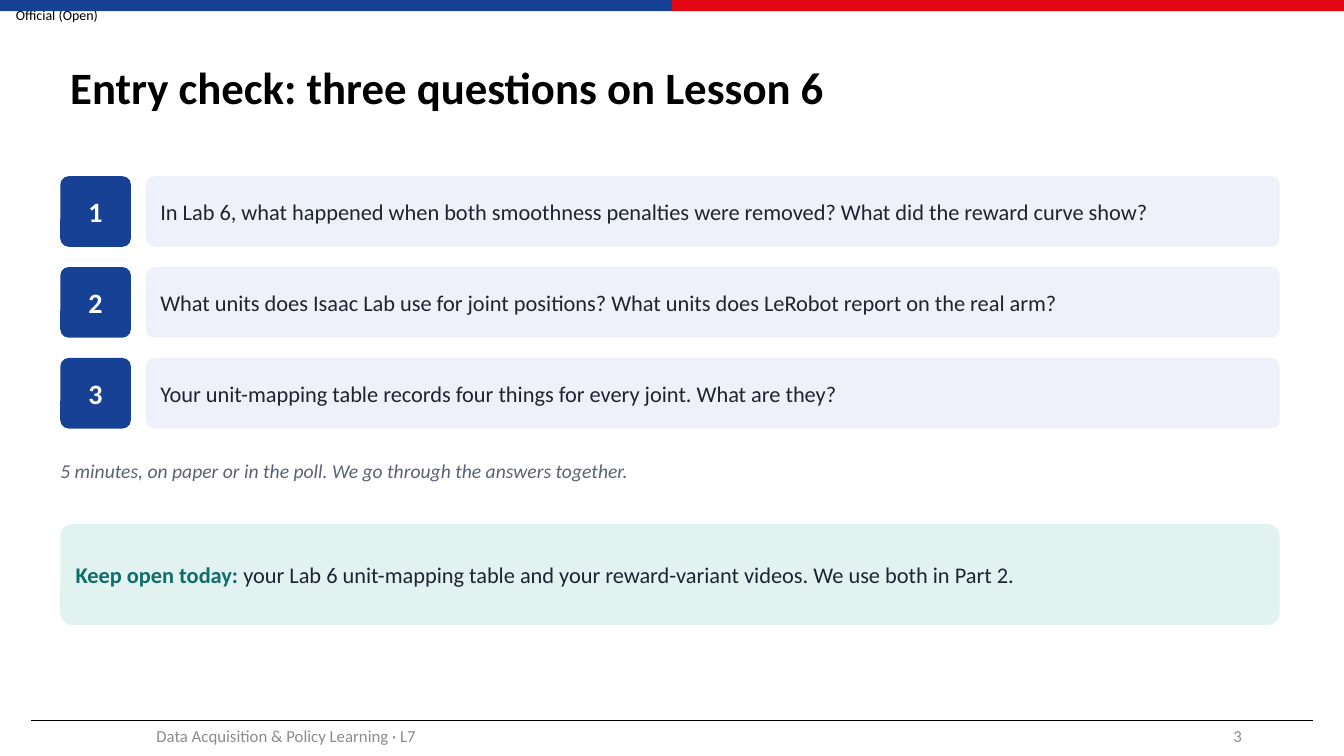
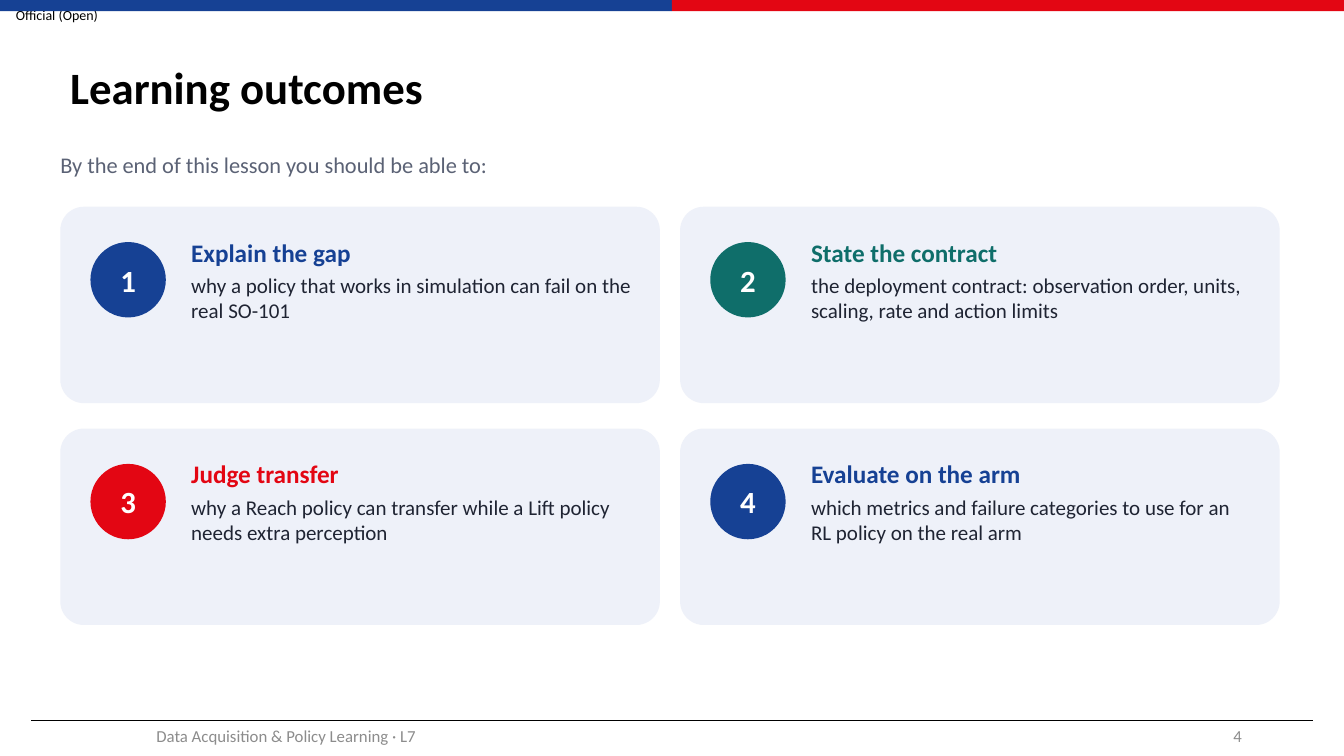
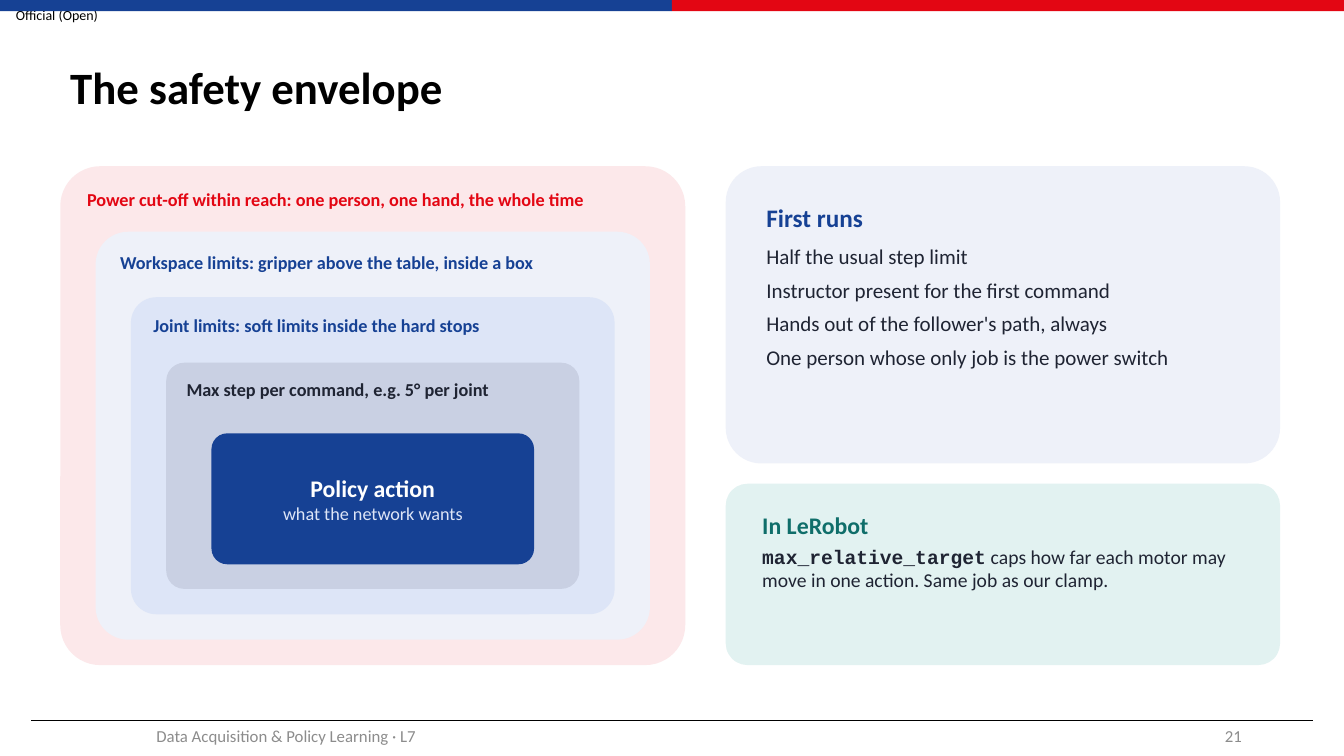
from dataclasses import dataclass
from typing import NamedTuple

from lxml import etree
from pptx import Presentation
from pptx import util as u
from pptx.dml.color import RGBColor
from pptx.enum import shapes, text
from pptx.oxml import ns

COLOURS = {
    "black": "000000",
    "white": "FFFFFF",
    "blue": "164194",
    "red": "E30613",
    "teal": "0F6E6A",
    "ink": "1F2433",
    "slate": "5B6275",
    "footer": "8C8C8C",
    "pale": "EEF1F9",
    "mint": "E2F2F1",
    "rose": "FCE8EA",
    "sky": "DDE5F7",
    "steel": "C9D0E3",
}
FONT = "Calibri"
MONO = "Courier New"
PAGE_WIDTH, PAGE_HEIGHT = 33.87, 19.05
LEFT, CONTENT_WIDTH = 1.52, 30.73
LEFT_ALIGN = text.PP_ALIGN.LEFT
CENTRE = text.PP_ALIGN.CENTER
RIGHT = text.PP_ALIGN.RIGHT
TOP = text.MSO_ANCHOR.TOP
MIDDLE = text.MSO_ANCHOR.MIDDLE
RECTANGLE = shapes.MSO_SHAPE.RECTANGLE
ROUNDED = shapes.MSO_SHAPE.ROUNDED_RECTANGLE
OVAL = shapes.MSO_SHAPE.OVAL


class Frame(NamedTuple):
    left: float
    top: float
    width: float
    height: float

    def lengths(self) -> list:
        return [u.Cm(value) for value in self]


class Margins(NamedTuple):
    side: float = 0
    end: float = 0


class Lead(NamedTuple):
    text: str
    colour: str
    font: str = FONT


@dataclass(frozen=True)
class Line:
    text: str
    size: float
    colour: str = "ink"
    bold: bool = False
    italic: bool = False
    align: text.PP_ALIGN = LEFT_ALIGN
    after: float = 0
    lead: Lead | None = None


class Outcome(NamedTuple):
    heading: str
    detail: str
    colour: str


class Limit(NamedTuple):
    label: str
    fill: str
    colour: str


BAR_MARGINS = Margins(0.3, 0.15)
QUESTIONS = [
    "In Lab 6, what happened when both smoothness penalties were removed? What did the reward curve show?",
    "What units does Isaac Lab use for joint positions? What units does LeRobot report on the real arm?",
    "Your unit-mapping table records four things for every joint. What are they?",
]
OUTCOMES = [
    Outcome("Explain the gap", "why a policy that works in simulation can fail on the real SO-101", "blue"),
    Outcome("State the contract", "the deployment contract: observation order, units, scaling, rate and action limits", "teal"),
    Outcome("Judge transfer", "why a Reach policy can transfer while a Lift policy needs extra perception", "red"),
    Outcome("Evaluate on the arm", "which metrics and failure categories to use for an RL policy on the real arm", "blue"),
]
LIMITS = [
    Limit("Power cut-off within reach: one person, one hand, the whole time", "rose", "red"),
    Limit("Workspace limits: gripper above the table, inside a box", "pale", "blue"),
    Limit("Joint limits: soft limits inside the hard stops", "sky", "blue"),
    Limit("Max step per command, e.g. 5° per joint", "steel", "ink"),
]
FIRST_RUNS = [
    "Half the usual step limit",
    "Instructor present for the first command",
    "Hands out of the follower's path, always",
    "One person whose only job is the power switch",
]


def rgb(name: str) -> RGBColor:
    return RGBColor.from_string(COLOURS[name])


def write(frame, lines: list[Line], anchor=TOP, margins=Margins()) -> None:
    frame.word_wrap = True
    frame.vertical_anchor = anchor
    frame.margin_left = frame.margin_right = u.Cm(margins.side)
    frame.margin_top = frame.margin_bottom = u.Cm(margins.end)
    for index, line in enumerate(lines):
        para = frame.add_paragraph() if index else frame.paragraphs[0]
        para.alignment = line.align
        para.space_after = u.Pt(line.after)
        para.font.name = FONT
        para.font.size = u.Pt(line.size)
        para.font.bold = line.bold
        para.font.italic = line.italic
        para.font.color.rgb = rgb(line.colour)
        if line.lead:
            span = para.add_run()
            span.text = line.lead.text
            span.font.name = line.lead.font
            span.font.bold = True
            span.font.color.rgb = rgb(line.lead.colour)
        para.add_run().text = line.text


def add_text(page, frame: Frame, lines: list[Line], anchor=TOP, margins=Margins()) -> None:
    box = page.shapes.add_textbox(*frame.lengths())
    write(box.text_frame, lines, anchor, margins)


def add_box(page, kind, frame: Frame, fill: str, lines: list[Line] | None = None,
            anchor=MIDDLE, margins=Margins(), rounding: float = 0.12) -> None:
    box = page.shapes.add_shape(kind, *frame.lengths())
    box.shadow.inherit = False
    box.fill.solid()
    box.fill.fore_color.rgb = rgb(fill)
    box.line.fill.background()
    if kind == ROUNDED:
        box.adjustments[0] = rounding
    if lines:
        write(box.text_frame, lines, anchor, margins)


def add_rule(page, left: float, right: float, top: float) -> None:
    rule = page.shapes.add_connector(
        shapes.MSO_CONNECTOR.STRAIGHT, u.Cm(left), u.Cm(top), u.Cm(right), u.Cm(top))
    rule.line.color.rgb = rgb("black")
    rule.line.width = u.Pt(0.5)
    etree.SubElement(rule._element.spPr, ns.qn("a:effectLst"))


def add_page(deck, title: str, number: int):
    page = deck.slides.add_slide(deck.slide_layouts[5])
    add_text(page, Frame(0, 0, 2.87, 0.74),
             [Line("Official (Open)", 10, "black", align=CENTRE)], MIDDLE)
    half = PAGE_WIDTH / 2
    for index, colour in enumerate(("blue", "red")):
        add_box(page, RECTANGLE, Frame(index * half, 0, half, 0.28), colour)
    add_rule(page, 0.79, 33.1, 18.14)
    heading = page.shapes.title
    heading.left, heading.top, heading.width, heading.height = Frame(LEFT, 0.76, 30.68, 3).lengths()
    write(heading.text_frame, [Line(title, 32, "black", bold=True)], MIDDLE, Margins(0.25, 0.13))
    heading.text_frame.paragraphs[0].line_spacing = 0.9
    add_text(page, Frame(1.5, 18.03, 11.43, 1.02),
             [Line("Data Acquisition & Policy Learning · L7", 12, "footer", align=CENTRE)],
             MIDDLE, Margins(0.25, 0.13))
    add_text(page, Frame(23.93, 18.03, 7.62, 1.02),
             [Line(str(number), 12, "footer", align=RIGHT)], MIDDLE, Margins(0.25, 0.13))
    return page


def build_entry_check(deck) -> None:
    page = add_page(deck, "Entry check: three questions on Lesson 6", 3)
    size, pitch = 1.78, 2.29
    for index, question in enumerate(QUESTIONS):
        top = 4.44 + index * pitch
        add_box(page, ROUNDED, Frame(LEFT, top, size, size), "blue",
                [Line(str(index + 1), 20, "white", bold=True, align=CENTRE)],
                margins=Margins(0.05, 0.05))
        add_box(page, ROUNDED, Frame(3.68, top, 28.57, size), "pale",
                [Line(question, 16)], margins=BAR_MARGINS)
    add_text(page, Frame(LEFT, 11.56, CONTENT_WIDTH, 1.02),
             [Line("5 minutes, on paper or in the poll. We go through the answers together.",
                   14, "slate", italic=True)])
    add_box(page, ROUNDED, Frame(LEFT, 13.21, CONTENT_WIDTH, 2.54), "mint",
            [Line("your Lab 6 unit-mapping table and your reward-variant videos. We use both in Part 2.",
                  16, lead=Lead("Keep open today: ", "teal"))], margins=BAR_MARGINS)


def build_outcomes(deck) -> None:
    page = add_page(deck, "Learning outcomes", 4)
    add_text(page, Frame(LEFT, 3.81, CONTENT_WIDTH, 1.02),
             [Line("By the end of this lesson you should be able to:", 16, "slate")])
    for index, outcome in enumerate(OUTCOMES):
        row, column = divmod(index, 2)
        left, top = LEFT + column * 15.62, 5.21 + row * 5.59
        add_box(page, ROUNDED, Frame(left, top, 15.11, 4.95), "pale")
        add_box(page, OVAL, Frame(left + 0.76, top + 0.89, 1.9, 1.9), outcome.colour,
                [Line(str(index + 1), 22, "white", bold=True, align=CENTRE)])
        add_text(page, Frame(left + 3.3, top + 0.76, 11.18, 3.81), [
            Line(outcome.heading, 18, outcome.colour, bold=True, after=4),
            Line(outcome.detail, 15),
        ])


def build_envelope(deck) -> None:
    page = add_page(deck, "The safety envelope", 21)
    top = 4.19
    for level, limit in enumerate(LIMITS):
        frame = Frame(LEFT + level * 0.89, top + level * 1.65,
                      15.75 - level * 1.78, 12.57 - level * 2.29)
        add_box(page, ROUNDED, frame, limit.fill, [Line(limit.label, 13, limit.colour, bold=True)],
                TOP, Margins(0.38, 0.25), 0.08)
    add_box(page, ROUNDED, Frame(5.33, 10.92, 8.13, 3.3), "blue", [
        Line("Policy action", 17, "white", bold=True, align=CENTRE),
        Line("what the network wants", 13, "sky", align=CENTRE),
    ], margins=BAR_MARGINS)
    panel_left, panel_width = 18.29, 13.97
    last = len(FIRST_RUNS) - 1
    rules = [Line(rule, 15, after=6 if index < last else 0) for index, rule in enumerate(FIRST_RUNS)]
    add_box(page, ROUNDED, Frame(panel_left, top, panel_width, 7.49), "pale",
            [Line("First runs", 18, "blue", bold=True, after=8), *rules],
            TOP, Margins(0.76, 0.64))
    add_box(page, ROUNDED, Frame(panel_left, 12.19, panel_width, 4.57), "mint", [
        Line("In LeRobot", 17, "teal", bold=True, after=4),
        Line(" caps how far each motor may move in one action. Same job as our clamp.",
             14, lead=Lead("max_relative_target", "ink", MONO)),
    ], TOP, Margins(0.76, 0.51))


def main() -> None:
    deck = Presentation()
    deck.slide_width, deck.slide_height = u.Cm(PAGE_WIDTH), u.Cm(PAGE_HEIGHT)
    build_entry_check(deck)
    build_outcomes(deck)
    build_envelope(deck)
    deck.save("out.pptx")


if __name__ == "__main__":
    main()
